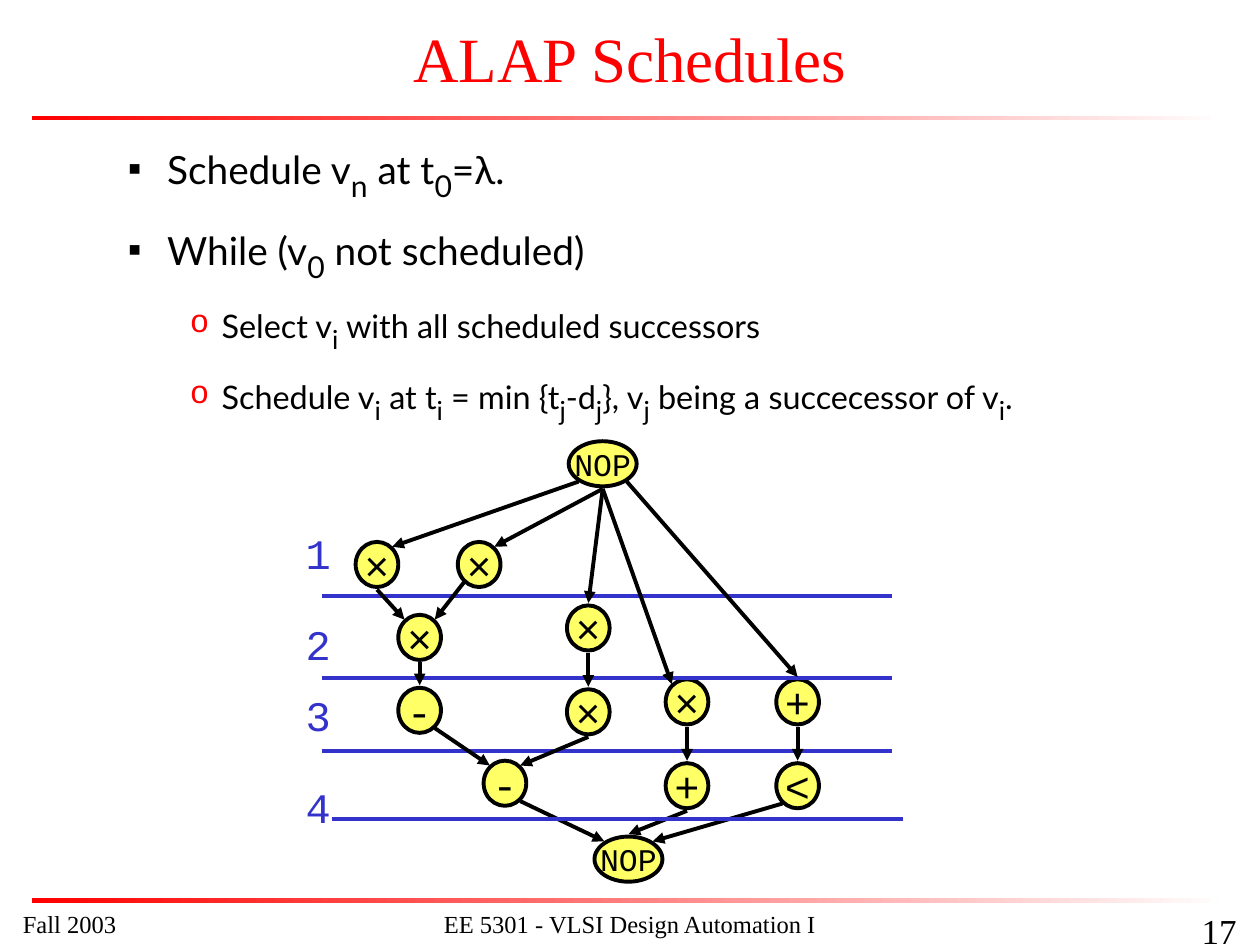
from lxml import etree
from pptx import Presentation
from pptx.dml.color import RGBColor
from pptx.enum.shapes import MSO_CONNECTOR, MSO_SHAPE
from pptx.enum.text import MSO_ANCHOR, PP_ALIGN
from pptx.oxml.ns import qn
from pptx.util import Cm, Pt

RED = RGBColor(0xFF, 0x00, 0x00)
BLACK = RGBColor(0x00, 0x00, 0x00)
WHITE = RGBColor(0xFF, 0xFF, 0xFF)
YELLOW = RGBColor(0xFF, 0xFF, 0x66)
BLUE = RGBColor(0x33, 0x33, 0xCC)

LEFT, CENTER, RIGHT = PP_ALIGN.LEFT, PP_ALIGN.CENTER, PP_ALIGN.RIGHT
TOP, MIDDLE = MSO_ANCHOR.TOP, MSO_ANCHOR.MIDDLE
OVAL, RECTANGLE = MSO_SHAPE.OVAL, MSO_SHAPE.RECTANGLE
STRAIGHT = MSO_CONNECTOR.STRAIGHT

SERIF, SANS, MONO, SYMBOL = "Times New Roman", "Lato", "Courier New", "Arial"

# Points on a node's outline, as shares of half its width and height
DIAGONAL = 0.71
SITES = {
    "N": (0, -1), "S": (0, 1),
    "NW": (-DIAGONAL, -DIAGONAL), "NE": (DIAGONAL, -DIAGONAL),
    "SW": (-DIAGONAL, DIAGONAL), "SE": (DIAGONAL, DIAGONAL),
}
NODE_HEIGHT, NODE_WIDTH, NOP_WIDTH = 0.91, 0.86, 1.37
EDGE_GAP = 0.05

# Bullet levels: text size, subscript size, indent, hanging, space, mark, colour
LEVELS = {
    1: (22.2, 29.6, 2.06, 0.79, 6, "▪", SYMBOL, BLACK),
    2: (18.5, 25.9, 3.16, 0.64, 5, "o", MONO, RED),
}


class SlidePainter:
    def __init__(self, slide):
        self.slide = slide
        self.line_width = Pt(2.25)

    def style(self, run, font, size, color):
        run.font.name, run.font.size = font, Pt(size)
        run.font.color.rgb = color

    def bar(self, top):
        bar = self.slide.shapes.add_shape(
            RECTANGLE, Cm(0.64), Cm(top), Cm(24.13), Cm(0.1))
        bar.shadow.inherit = False
        bar.line.fill.background()
        bar.fill.gradient()
        bar.fill.gradient_angle = 0
        for stop, color, position in zip(bar.fill.gradient_stops, (RED, WHITE), (0, 1)):
            stop.color.rgb = color
            stop.position = position

    def frame(self, left, top, width, height, margins=(0.25, 0.13), anchor=TOP):
        box = self.slide.shapes.add_textbox(Cm(left), Cm(top), Cm(width), Cm(height))
        frame = box.text_frame
        frame.word_wrap, frame.vertical_anchor = True, anchor
        frame.margin_left = frame.margin_right = Cm(margins[0])
        frame.margin_top = frame.margin_bottom = Cm(margins[1])
        return frame

    def label(self, text, place, font, size, color, align=LEFT, **options):
        frame = self.frame(*place, **options)
        frame.text = text
        paragraph = frame.paragraphs[0]
        paragraph.alignment = align
        self.style(paragraph.runs[0], font, size, color)

    def bullet(self, paragraph, level, pieces):
        """Pieces alternate between plain text and subscript."""
        size, sub_size, indent, hanging, space, mark, mark_font, color = LEVELS[level]
        paragraph.level = level - 1
        paragraph.space_before = Pt(space)
        props = paragraph._p.get_or_add_pPr()
        props.set("marL", str(Cm(indent)))
        props.set("indent", str(-Cm(hanging)))
        bullet_color = etree.SubElement(props, qn("a:buClr"))
        etree.SubElement(bullet_color, qn("a:srgbClr"), val=str(color))
        etree.SubElement(props, qn("a:buFont"), typeface=mark_font)
        etree.SubElement(props, qn("a:buChar"), char=mark)
        for position, piece in enumerate(pieces):
            run = paragraph.add_run()
            run.text = piece
            is_sub = position % 2 == 1
            self.style(run, SANS, sub_size if is_sub else size, BLACK)
            if is_sub:
                run.font._element.set("baseline", "-25000")

    def node(self, text, x, y):
        width = NOP_WIDTH if text == "NOP" else NODE_WIDTH
        oval = self.slide.shapes.add_shape(
            OVAL, Cm(x - width / 2), Cm(y - NODE_HEIGHT / 2), Cm(width), Cm(NODE_HEIGHT))
        oval.shadow.inherit = False
        oval.fill.solid()
        oval.fill.fore_color.rgb = YELLOW
        oval.line.color.rgb, oval.line.width = BLACK, self.line_width
        frame = oval.text_frame
        frame.word_wrap, frame.vertical_anchor = False, MIDDLE
        frame.text = text
        frame.paragraphs[0].alignment = CENTER
        self.style(frame.paragraphs[0].runs[0], SYMBOL if text == "×" else MONO,
                   18 if text == "NOP" else 24, BLACK)

    def line(self, start, end, color, arrow=False):
        line = self.slide.shapes.add_connector(
            STRAIGHT, *(Cm(value) for value in (*start, *end)))
        line.line.color.rgb, line.line.width = color, self.line_width
        if arrow:
            etree.SubElement(line.line._get_or_add_ln(), qn("a:tailEnd"), type="triangle")
        etree.SubElement(line._element.spPr, qn("a:effectLst"))

    def step_rule(self, left, y):
        self.line((left, y), (left + 11.5, y), BLUE)


def outline_point(node, site):
    text, x, y = node
    across, down = SITES[site]
    width = NOP_WIDTH if text == "NOP" else NODE_WIDTH
    return x + across * width / 2, y + down * (NODE_HEIGHT / 2 + EDGE_GAP)


NODES = {
    "source": ("NOP", 12.15, 9.35),
    "mul1": ("×", 7.6, 11.38),
    "mul2": ("×", 9.66, 11.38),
    "mul3": ("×", 8.46, 12.85),
    "mul4": ("×", 11.86, 12.66),
    "mul5": ("×", 11.86, 14.35),
    "mul6": ("×", 13.85, 14.15),
    "add1": ("+", 16.08, 14.15),
    "sub1": ("-", 8.46, 14.32),
    "sub2": ("-", 10.18, 15.79),
    "add2": ("+", 13.85, 15.84),
    "less": ("<", 16.08, 15.84),
    "sink": ("NOP", 12.67, 17.32),
}
EDGES = [
    ("source", "SW", "mul1", "NE"), ("source", "S", "mul2", "NE"),
    ("source", "S", "mul4", "N"), ("source", "S", "mul6", "NW"),
    ("source", "SE", "add1", "N"), ("add1", "S", "less", "N"),
    ("mul6", "S", "add2", "N"), ("mul4", "S", "mul5", "N"),
    ("mul2", "SW", "mul3", "NE"), ("mul1", "S", "mul3", "NW"),
    ("mul3", "S", "sub1", "N"), ("mul5", "S", "sub2", "NE"),
    ("sub1", "SE", "sub2", "NW"), ("add2", "S", "sink", "N"),
    ("less", "SW", "sink", "NE"), ("sub2", "SE", "sink", "NW"),
]
ALGORITHM = [
    (1, ["Schedule v", "n", " at t", "0", "=λ."]),
    (1, ["While (v", "0", " not scheduled)"]),
    (2, ["Select v", "i", " with all scheduled successors"]),
    (2, ["Schedule v", "i", " at t", "i", " = min {t", "j", "-d", "j", "}, v", "j",
         " being a succecessor of v", "i", "."]),
]


def main():
    deck = Presentation()
    deck.slide_width, deck.slide_height = Cm(25.4), Cm(19.05)
    painter = SlidePainter(deck.slides.add_slide(deck.slide_layouts[6]))

    # Title and bars
    for top in (2.33, 18.11):
        painter.bar(top)
    painter.label("ALAP Schedules", (0, 0.2, 25.4, 1.9), SERIF, 36, RED, CENTER,
                  anchor=MIDDLE)

    # Algorithm
    algorithm = painter.frame(1.06, 2.54, 23.29, 5.28)
    for index, (level, pieces) in enumerate(ALGORITHM):
        paragraph = algorithm.add_paragraph() if index else algorithm.paragraphs[0]
        painter.bullet(paragraph, level, pieces)

    # Sequencing graph with its time steps; the last rule lies over the edges
    for node in NODES.values():
        painter.node(*node)
    for y in (12.02, 13.67, 15.14):
        painter.step_rule(6.49, y)
    for step, top in enumerate((10.63, 12.47, 13.9, 15.75), start=1):
        painter.label(str(step), (6.16, top, 0.51, 1.02), MONO, 24, BLUE, margins=(0, 0))
    for start, start_site, end, end_site in EDGES:
        painter.line(outline_point(NODES[start], start_site),
                     outline_point(NODES[end], end_site), BLACK, arrow=True)
    painter.step_rule(6.7, 16.51)

    # Footer
    painter.label("Fall 2003", (0.21, 18.2, 5.28, 0.64), SERIF, 14, BLACK)
    painter.label("EE 5301 - VLSI Design Automation I", (8.04, 18.2, 9.32, 0.84),
                  SERIF, 14, BLACK, CENTER)
    painter.label("17", (19.9, 18.2, 5.28, 0.64), SERIF, 20, BLACK, RIGHT)

    deck.save("out.pptx")


if __name__ == "__main__":
    main()
